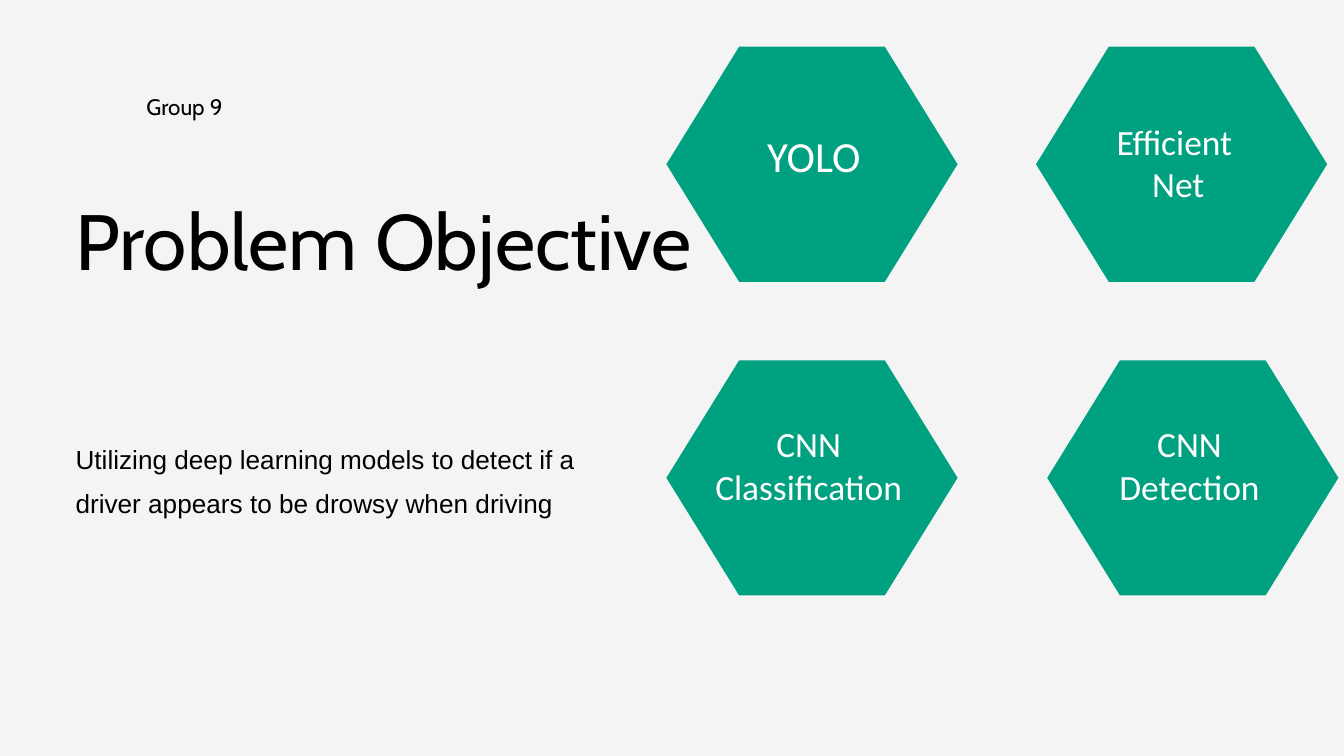
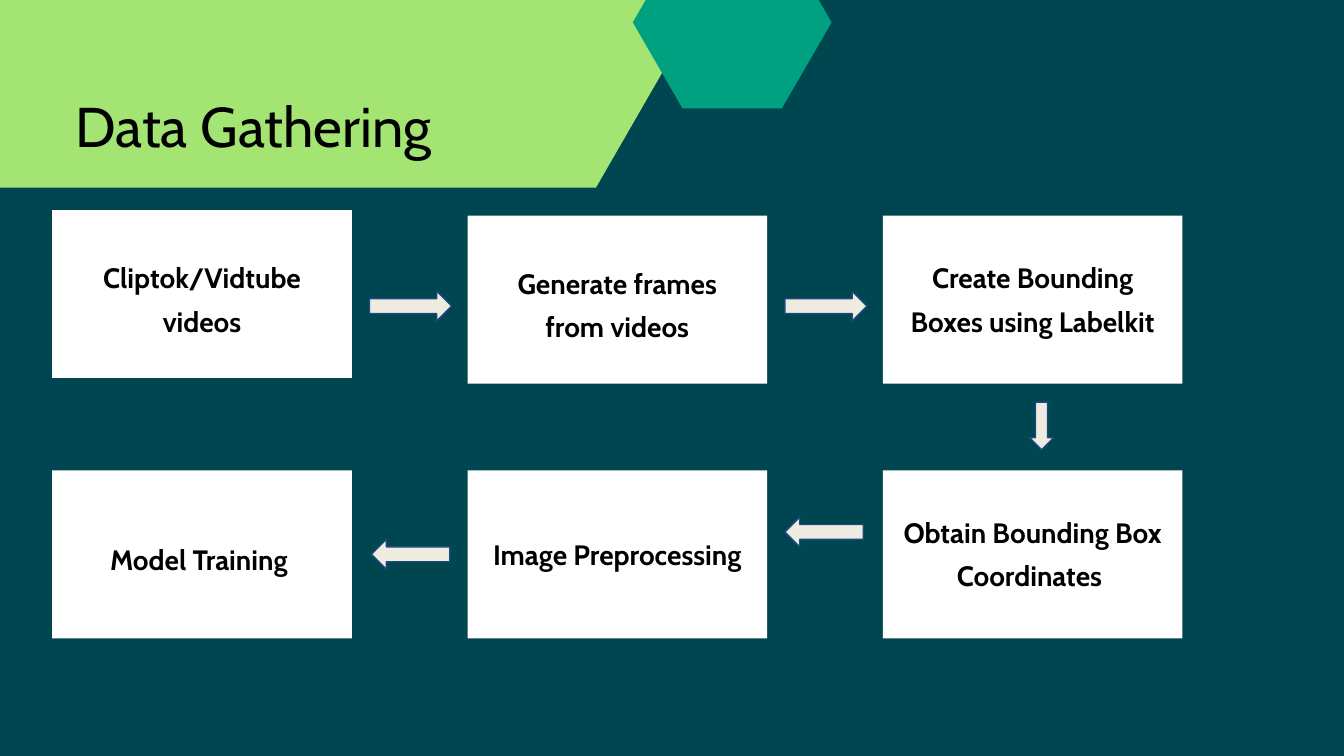
from pptx import Presentation
from pptx.dml.color import RGBColor
from pptx.enum.shapes import MSO_SHAPE as SHAPE
from pptx.enum.text import MSO_ANCHOR as ANCHOR, PP_ALIGN as ALIGN
from pptx.util import Pt

LIGHT = RGBColor(0xF4, 0xF4, 0xF4)
DARK = RGBColor(0x00, 0x46, 0x51)
TEAL = RGBColor(0x00, 0xA1, 0x81)
LIME = RGBColor(0xA4, 0xE4, 0x73)
CREAM = RGBColor(0xEE, 0xEC, 0xE1)
NAVY = RGBColor(0x1F, 0x49, 0x7D)
WHITE = RGBColor(0xFF, 0xFF, 0xFF)
BLACK = RGBColor(0, 0, 0)

HEADING_FONT = "Cabin"
BODY_FONT = "Arial"
LABEL_FONT = "Calibri"

HEX_W, HEX_H = 156, 126
BOX_W, BOX_H = 160.5, 90
BOX_LEFT, BOX_STEP = 28, 222.5


def new_slide(prs, color):
    slide = prs.slides.add_slide(prs.slide_layouts[6])
    fill = slide.background.fill
    fill.solid()
    fill.fore_color.rgb = color
    return slide


def write(sp, text, size, font=HEADING_FONT, color=BLACK, bold=False,
          align=ALIGN.LEFT, anchor=ANCHOR.TOP, spacing=1.0, inset=0, bottom=None):
    tf = sp.text_frame
    tf.word_wrap = True
    tf.vertical_anchor = anchor
    tf.margin_left = tf.margin_right = tf.margin_top = Pt(inset)
    tf.margin_bottom = Pt(inset if bottom is None else bottom)
    for i, line in enumerate(text.split("\n")):
        p = tf.paragraphs[0] if i == 0 else tf.add_paragraph()
        p.alignment = align
        p.line_spacing = spacing
        r = p.add_run()
        r.text = line
        r.font.name = font
        r.font.size = Pt(size)
        r.font.bold = bold
        r.font.color.rgb = color


def add_text(slide, x, y, w, h, text, size, **fmt):
    sp = slide.shapes.add_textbox(Pt(x), Pt(y), Pt(w), Pt(h))
    write(sp, text, size, **fmt)


def paint(sp, fill, line=None):
    sp.shadow.inherit = False
    sp.fill.solid()
    sp.fill.fore_color.rgb = fill
    if line is None:
        sp.line.fill.background()
    else:
        sp.line.color.rgb = line
        sp.line.width = Pt(0.75)


def add_hexagon(slide, x, y, w, h, fill=TEAL, notch=0.25):
    near, far, mid = x + w * notch, x + w * (1 - notch), y + h / 2
    points = [(far, y + h), (near, y + h), (x, mid), (near, y), (far, y)]
    builder = slide.shapes.build_freeform(Pt(x + w), Pt(mid))
    builder.add_line_segments([(Pt(px), Pt(py)) for px, py in points], close=True)
    paint(builder.convert_to_shape(), fill)


def add_step(slide, col, y, text, bottom):
    x = BOX_LEFT + col * BOX_STEP
    sp = slide.shapes.add_shape(SHAPE.RECTANGLE, Pt(x), Pt(y), Pt(BOX_W), Pt(BOX_H))
    paint(sp, WHITE)
    write(sp, text, 15, bold=True, align=ALIGN.CENTER, anchor=ANCHOR.MIDDLE,
          spacing=1.3, inset=10, bottom=bottom)


def add_arrow(slide, kind, x, y, w, h):
    sp = slide.shapes.add_shape(kind, Pt(x), Pt(y), Pt(w), Pt(h))
    paint(sp, CREAM, NAVY)


def build_objective(prs):
    slide = new_slide(prs, LIGHT)
    for x, y in [(357, 25), (357, 193), (555, 25), (561, 193)]:
        add_hexagon(slide, x, y, HEX_W, HEX_H)
    add_text(slide, 40.5, 93, 334, 112, "Problem Objective", 42, spacing=1.2)
    add_text(slide, 40.5, 231, 274.5, 41,
             "Utilizing deep learning models to detect if a driver appears "
             "to be drowsy when driving", 14, font=BODY_FONT, spacing=1.4)
    add_text(slide, 78.5, 44, 127.5, 14.5, "Group 9", 12, spacing=1.4)
    labels = [
        (398, 62.5, 76, "YOLO", 23),
        (373.5, 219, 119.5, "CNN\nClassification", 19),
        (577.5, 219, 119.5, "CNN\nDetection", 19),
        (571.5, 57, 119.5, "Efficient \nNet", 19),
    ]
    for x, y, w, text, size in labels:
        add_text(slide, x, y, w, 50.5, text, size, font=LABEL_FONT, color=WHITE,
                 align=ALIGN.CENTER, inset=7.2)


def build_gathering(prs):
    slide = new_slide(prs, DARK)
    add_hexagon(slide, -115, -145, 505, 245.5, LIME, notch=0.14)
    add_hexagon(slide, 339, -34, 106.5, 92)
    add_text(slide, 40.5, 38, 260.5, 36, "Data Gathering", 30, spacing=1.3)
    steps = [
        (0, 112.5, "Cliptok/Vidtube videos", 10),
        (1, 115.5, "Generate frames from videos", 10),
        (2, 115.5, "Create Bounding Boxes using Labelkit", 16),
        (2, 252, "Obtain Bounding Box Coordinates ", 16),
        (1, 252, "Image Preprocessing", 16),
        (0, 252, "Model Training ", 10),
    ]
    for step in steps:
        add_step(slide, *step)
    for col in range(2):
        add_arrow(slide, SHAPE.RIGHT_ARROW, 198 + col * BOX_STEP, 156, 44, 16)
    add_arrow(slide, SHAPE.DOWN_ARROW, 551.5, 215.5, 13, 25.5)
    add_arrow(slide, SHAPE.LEFT_ARROW, 420.5, 277, 42, 16)
    add_arrow(slide, SHAPE.LEFT_ARROW, 199, 289, 42, 16)


def main():
    prs = Presentation()
    prs.slide_width = Pt(720)
    prs.slide_height = Pt(405)
    build_objective(prs)
    build_gathering(prs)
    prs.save("out.pptx")


if __name__ == "__main__":
    main()
